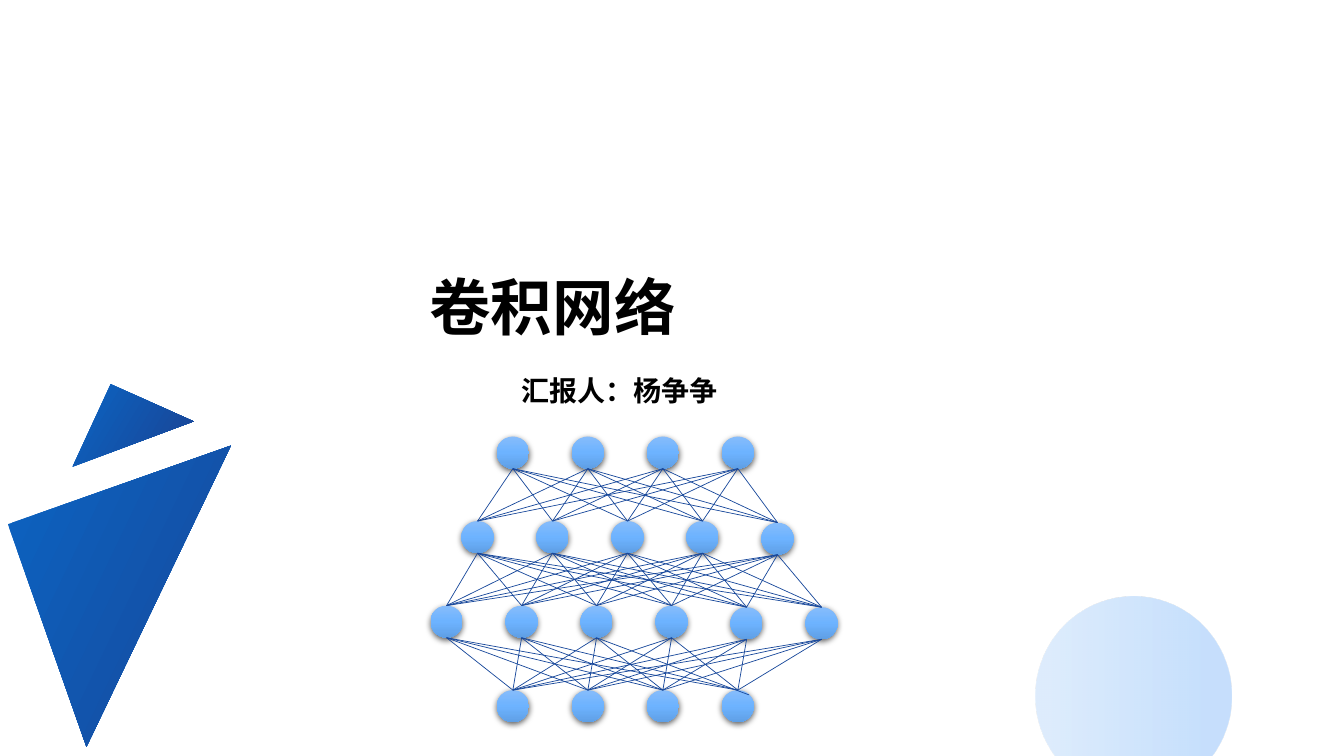
from dataclasses import dataclass
from itertools import product

from lxml.etree import SubElement
from pptx import Presentation
from pptx.dml.color import RGBColor
from pptx.enum.shapes import MSO_CONNECTOR, MSO_SHAPE
from pptx.enum.text import MSO_ANCHOR, PP_ALIGN
from pptx.oxml.ns import qn
from pptx.shapes.autoshape import Shape
from pptx.shapes.shapetree import GroupShapes
from pptx.util import Cm, Pt

NODE_SIZE = 0.81
NODE_PITCH = 1.89
LAYER_TOP = 11.0
LAYER_PITCH = 2.13
LINK_COLOR = "18489B"


@dataclass(frozen=True)
class Stop:
    position: int
    color: str
    opacity: int = 100


@dataclass(frozen=True)
class Triangle:
    corners: tuple[tuple[float, float], ...]
    stops: tuple[Stop, ...]
    angle: float


@dataclass(frozen=True)
class Layer:
    """A row of nodes; the last `lowered` nodes sit slightly lower."""
    left: float
    count: int
    lowered: int = 0


@dataclass(frozen=True)
class Node:
    left: float
    top: float

    @property
    def center(self) -> float:
        return self.left + NODE_SIZE / 2

    @property
    def bottom(self) -> float:
        return self.top + NODE_SIZE


NODE_STOPS = (Stop(0, "86BCFB"), Stop(50, "6DB3FF"), Stop(100, "5F9FE5"))
CIRCLE_STOPS = (Stop(8, "8FC1FA", 30), Stop(85, "4598F7", 30))
TRIANGLES = (
    Triangle(((2.18, 18.82), (0.2, 13.21), (5.82, 11.23)),
             (Stop(6, "0C62BF"), Stop(100, "18489B")), 25.6),
    Triangle(((1.83, 11.76), (2.79, 9.68), (4.88, 10.62)),
             (Stop(8, "0C62BF"), Stop(85, "18489B")), 31),
)
LAYERS = (Layer(12.52, 4), Layer(11.63, 5, 1), Layer(10.85, 6, 2), Layer(12.52, 4))
# One link runs past its node: (upper layer, upper node, lower node) -> shift
LINK_SHIFTS = {(2, 2, 3): (0.28, 0.12)}


def rgb(color: str) -> RGBColor:
    return RGBColor.from_string(color)


def fill_gradient(shape: Shape, stops: tuple[Stop, ...], angle: float = 0) -> None:
    """Fill without outline or shadow; the angle runs clockwise."""
    shape.shadow.inherit = False
    shape.line.fill.background()
    shape.fill.gradient()
    shape.fill.gradient_angle = -angle % 360
    stop_list = shape._element.spPr.find(qn("a:gradFill")).find(qn("a:gsLst"))
    for default_stop in list(stop_list):
        stop_list.remove(default_stop)
    for stop in stops:
        entry = SubElement(stop_list, qn("a:gs"), pos=str(stop.position * 1000))
        color = SubElement(entry, qn("a:srgbClr"), val=stop.color)
        if stop.opacity < 100:
            SubElement(color, qn("a:alpha"), val=str(stop.opacity * 1000))


def add_soft_shadow(shape: Shape) -> None:
    effects = shape._element.spPr.find(qn("a:effectLst"))
    shadow = SubElement(effects, qn("a:outerShdw"), blurRad=str(Pt(4.5)),
                        dist=str(Pt(1.5)), dir="5400000", rotWithShape="0")
    color = SubElement(shadow, qn("a:srgbClr"), val="000000")
    SubElement(color, qn("a:alpha"), val="63000")


def draw_triangle(shapes: GroupShapes, triangle: Triangle) -> None:
    start, *others = [(Cm(x), Cm(y)) for x, y in triangle.corners]
    builder = shapes.build_freeform(*start)
    builder.add_line_segments(others, close=True)
    fill_gradient(builder.convert_to_shape(), triangle.stops, triangle.angle)


def place_nodes(index: int, layer: Layer) -> list[Node]:
    top = LAYER_TOP + index * LAYER_PITCH
    first_lowered = layer.count - layer.lowered
    return [Node(layer.left + i * NODE_PITCH, top + (0.04 if i >= first_lowered else 0))
            for i in range(layer.count)]


def draw_node(shapes: GroupShapes, node: Node) -> None:
    circle = shapes.add_shape(MSO_SHAPE.OVAL, Cm(node.left), Cm(node.top),
                              Cm(NODE_SIZE), Cm(NODE_SIZE))
    fill_gradient(circle, NODE_STOPS, 90)
    add_soft_shadow(circle)


def draw_link(shapes: GroupShapes, upper: Node, lower: Node,
              shift: tuple[float, float]) -> None:
    link = shapes.add_connector(MSO_CONNECTOR.STRAIGHT, Cm(upper.center), Cm(upper.bottom),
                                Cm(lower.center + shift[0]), Cm(lower.top + shift[1]))
    link.line.color.rgb = rgb(LINK_COLOR)
    link.line.width = Pt(0.5)
    SubElement(link._element.spPr, qn("a:effectLst"))


def draw_network(shapes: GroupShapes) -> None:
    layers = [place_nodes(index, layer) for index, layer in enumerate(LAYERS)]
    for nodes in layers:
        for node in nodes:
            draw_node(shapes, node)
    for index, (uppers, lowers) in enumerate(zip(layers, layers[1:])):
        for (i, upper), (j, lower) in product(enumerate(uppers), enumerate(lowers)):
            draw_link(shapes, upper, lower, LINK_SHIFTS.get((index, i, j), (0, 0)))


def write_text(box: Shape, text: str, size: int, alignment: PP_ALIGN,
               space_before: int = 0) -> None:
    frame = box.text_frame
    frame.word_wrap = True
    frame.vertical_anchor = MSO_ANCHOR.TOP
    frame.text = text
    para = frame.paragraphs[0]
    para.alignment = alignment
    para.line_spacing = 0.9
    para.space_before = Pt(space_before)
    font = para.runs[0].font
    font.name = "Arial"
    font.size = Pt(size)
    font.bold = True
    font.color.rgb = rgb("000000")


def main() -> None:
    deck = Presentation()
    deck.slide_width, deck.slide_height = Cm(33.87), Cm(19.05)
    page = deck.slides.add_slide(deck.slide_layouts[6])

    corner_circle = page.shapes.add_shape(MSO_SHAPE.OVAL, Cm(26.11), Cm(15.04),
                                          Cm(4.93), Cm(5))
    fill_gradient(corner_circle, CIRCLE_STOPS)

    triangle_group = page.shapes.add_group_shape()
    for triangle in TRIANGLES:
        draw_triangle(triangle_group.shapes, triangle)

    draw_network(page.shapes.add_group_shape().shapes)

    title = page.shapes.add_textbox(Cm(10.57), Cm(6.86), Cm(10.24), Cm(2.9))
    write_text(title, "卷积网络", 44, PP_ALIGN.JUSTIFY)

    presenter = page.shapes.add_shape(MSO_SHAPE.ROUNDED_RECTANGLE, Cm(12.62), Cm(9.12),
                                      Cm(7.92), Cm(1.8))
    presenter.adjustments[0] = 0.5
    presenter.shadow.inherit = False
    presenter.fill.background()
    presenter.line.fill.background()
    write_text(presenter, "汇报人：杨争争", 20, PP_ALIGN.LEFT, space_before=10)

    deck.save("out.pptx")


if __name__ == "__main__":
    main()
